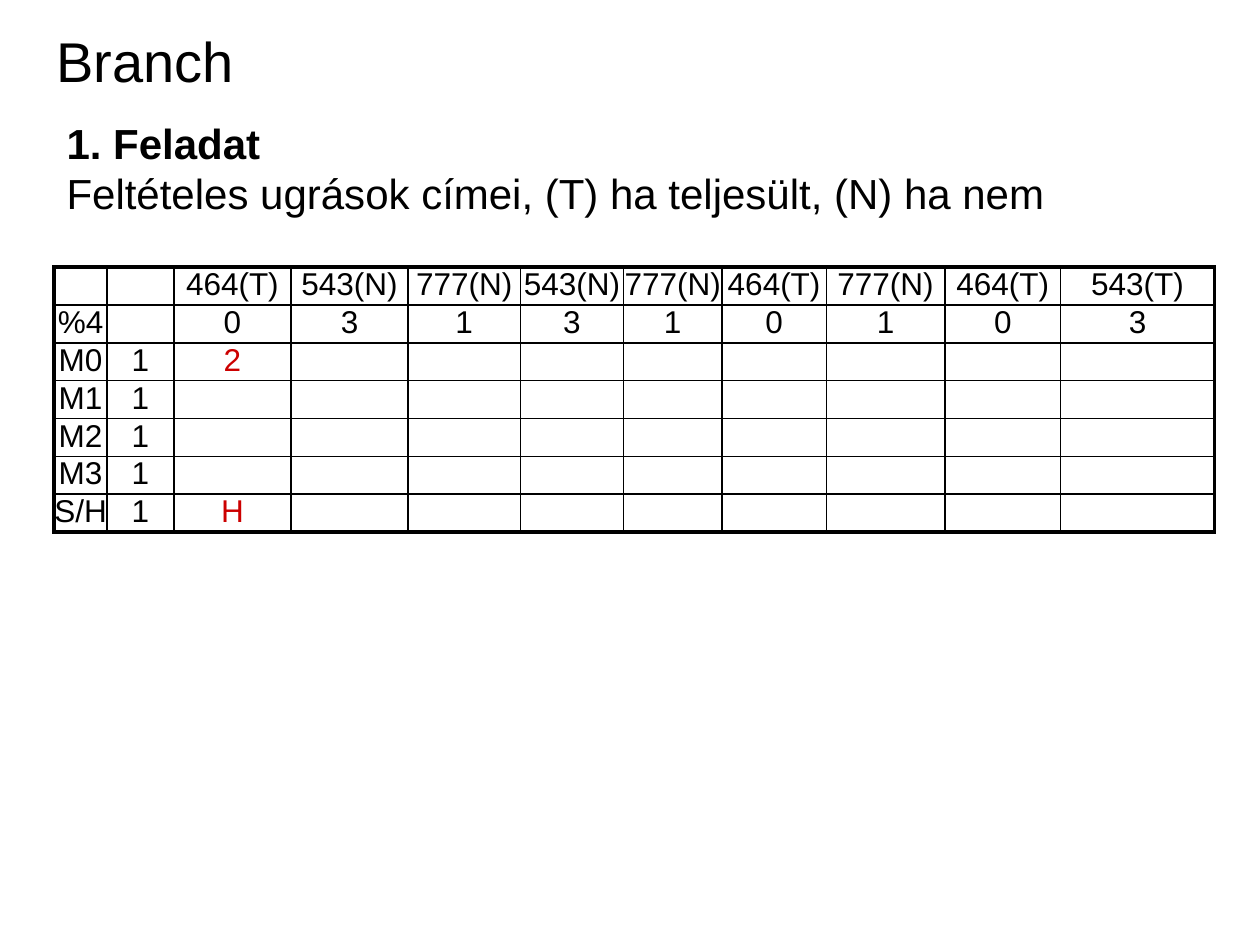
from lxml.etree import SubElement
from pptx import Presentation
from pptx.dml.color import RGBColor
from pptx.enum.text import MSO_ANCHOR, PP_ALIGN
from pptx.oxml.ns import qn
from pptx.util import Inches, Pt

BLACK = RGBColor(0x00, 0x00, 0x00)
RED = RGBColor(0xCC, 0x00, 0x00)
THIN, THICK = Pt(1), Pt(2.25)
ROW_HEIGHT = Inches(0.3)
COLUMN_WIDTHS = [0.42, 0.53, 0.93, 0.93, 0.89, 0.82, 0.78, 0.83, 0.94, 0.92, 1.22]
BRANCHES = ["464(T)", "543(N)", "777(N)", "543(N)", "777(N)", "464(T)", "777(N)", "464(T)", "543(T)"]
ROWS = [
    ["", "", *BRANCHES],
    ["%4", "", *"031310103"],
    ["M0", "1", "2"],
    ["M1", "1"],
    ["M2", "1"],
    ["M3", "1"],
    ["S/H", "1", "H"],
]


def add_run(paragraph, text, size, color=BLACK, bold=False):
    run = paragraph.add_run()
    run.text = text
    run.font.name = "Arial"
    run.font.size = Pt(size)
    run.font.bold = bold
    run.font.color.rgb = color


def add_border(cell, side, width):
    line = SubElement(cell._tc.get_or_add_tcPr(), qn(f"a:ln{side}"), w=str(width))
    fill = SubElement(line, qn("a:solidFill"))
    SubElement(fill, qn("a:srgbClr"), val=str(BLACK))


presentation = Presentation()
presentation.slide_width = Inches(10)
presentation.slide_height = Inches(7.5)
slide = presentation.slides.add_slide(presentation.slide_layouts[6])
left_edge = Inches(0.43)

title = slide.shapes.add_textbox(Inches(0.35), Inches(0.21), Inches(5.75), Inches(0.54))
title.text_frame.word_wrap = True
title.text_frame.vertical_anchor = MSO_ANCHOR.MIDDLE
add_run(title.text_frame.paragraphs[0], "Branch", 32)

task = slide.shapes.add_textbox(left_edge, Inches(0.91), Inches(9.07), Inches(3.86))
task.text_frame.word_wrap = True
heading = task.text_frame.paragraphs[0]
description = task.text_frame.add_paragraph()
for paragraph in (heading, description):
    properties = paragraph._p.get_or_add_pPr()
    properties.set("marL", str(Inches(0.38)))
    properties.set("indent", str(-Inches(0.38)))
    paragraph.line_spacing = 0.95
description.space_before = Pt(1.2)
add_run(heading, "1. Feladat", 24, bold=True)
add_run(description, "Feltételes ugrások címei, (T) ha teljesült, (N) ha nem", 24)

last_row, last_column = len(ROWS) - 1, len(COLUMN_WIDTHS) - 1
frame = slide.shapes.add_table(
    len(ROWS), len(COLUMN_WIDTHS), left_edge, Inches(2.12),
    Inches(sum(COLUMN_WIDTHS)), ROW_HEIGHT * len(ROWS),
)
table = frame.table
table.first_row = False
table.horz_banding = False
for column, width in zip(table.columns, COLUMN_WIDTHS):
    column.width = Inches(width)

for row_index, values in enumerate(ROWS):
    table.rows[row_index].height = ROW_HEIGHT
    for column_index in range(len(COLUMN_WIDTHS)):
        cell = table.cell(row_index, column_index)
        cell.margin_left = cell.margin_right = cell.margin_top = cell.margin_bottom = 0
        add_border(cell, "L", THICK if column_index == 0 else THIN)
        add_border(cell, "R", THICK if column_index == last_column else THIN)
        add_border(cell, "T", THICK if row_index == 0 else THIN)
        add_border(cell, "B", THICK if row_index == last_row else THIN)
        cell.fill.background()
        paragraph = cell.text_frame.paragraphs[0]
        paragraph.alignment = PP_ALIGN.CENTER
        if column_index < len(values) and values[column_index]:
            is_state = row_index >= 2 and column_index >= 2
            add_run(paragraph, values[column_index], 18, RED if is_state else BLACK)

presentation.save("out.pptx")
